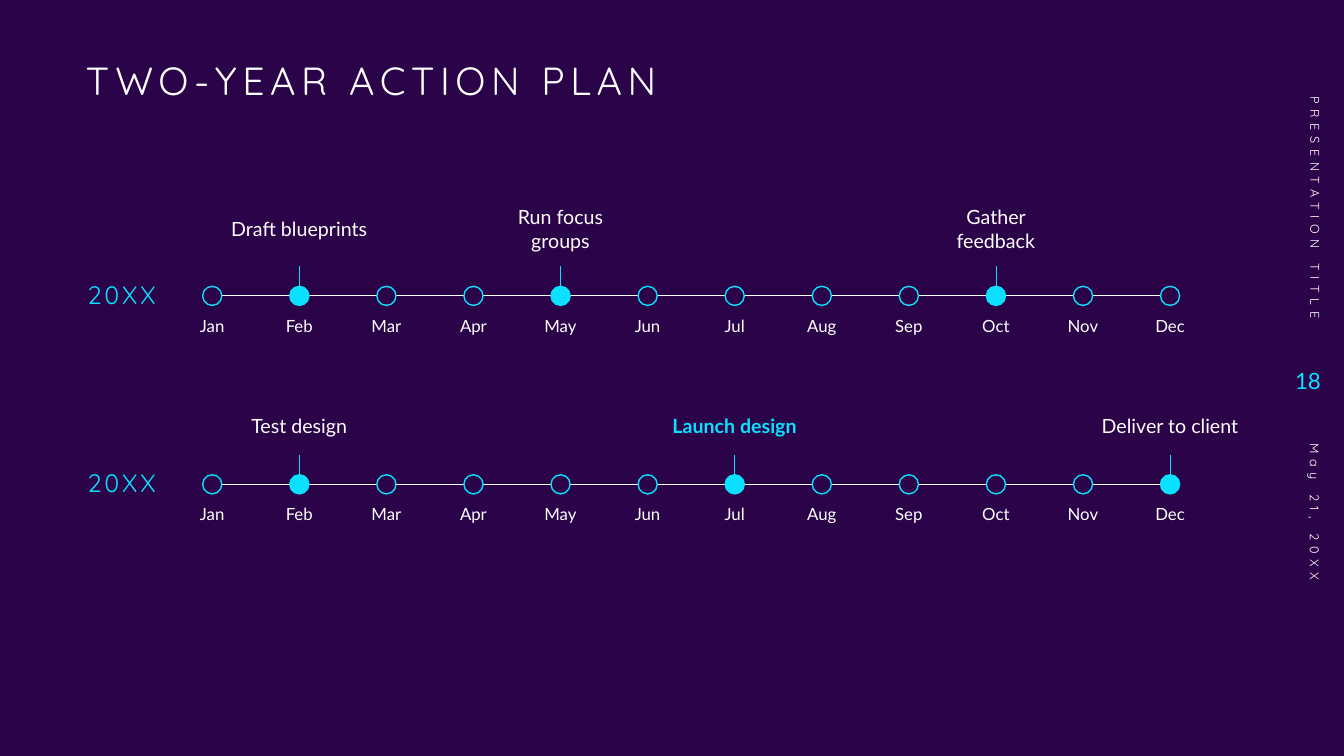
from lxml import etree
from pptx import Presentation
from pptx.dml.color import RGBColor
from pptx.enum.shapes import MSO_CONNECTOR, MSO_SHAPE
from pptx.enum.text import MSO_ANCHOR, PP_ALIGN
from pptx.oxml.ns import qn
from pptx.util import Inches, Pt

LINE = MSO_CONNECTOR.STRAIGHT
OVAL = MSO_SHAPE.OVAL
TOP, MIDDLE = MSO_ANCHOR.TOP, MSO_ANCHOR.MIDDLE
LEFT, CENTER, RIGHT = PP_ALIGN.LEFT, PP_ALIGN.CENTER, PP_ALIGN.RIGHT

COLORS = {"back": "2B0348", "text": "FFFFFF", "accent": "0BE1FF"}
HEAD, BODY = "Quicksand", "Lato"
MONTHS = "Jan Feb Mar Apr May Jun Jul Aug Sep Oct Nov Dec".split()
DOT = 0.19

# Each year: label, dot row box (left, top, width), event top, events by month
YEARS = [
    ("20XX", (2.01, 2.84, 9.69), 1.95,
     {"Feb": "Draft blueprints", "May": "Run focus groups",
      "Oct": "Gather feedback"}),
    ("20XX", (2.01, 4.71, 9.69), 3.9,
     {"Feb": "Test design", "Jul": "Launch design",
      "Dec": "Deliver to client"}),
]
KEY = "Launch design"


def color(name):
    return RGBColor.from_string(COLORS[name])


def write(shape, text, size, face=BODY, tint="text", align=LEFT,
          anchor=MIDDLE, lead=1.0, track=0, bold=False):
    frame = shape.text_frame
    frame.word_wrap = True
    frame.vertical_anchor = anchor
    para = frame.paragraphs[0]
    para.alignment = align
    para.line_spacing = lead
    run = para.add_run()
    run.text = text
    font = run.font
    font.size, font.name, font.bold = Pt(size), face, bold
    font.color.rgb = color(tint)
    if track:
        font._element.set("spc", str(track * 100))


def label(slide, box, text, size, turn=0, **style):
    shape = slide.shapes.add_textbox(*map(Inches, box))
    shape.rotation = turn
    write(shape, text, size, **style)


def rule(slide, start, end, tint):
    line = slide.shapes.add_connector(LINE, *map(Inches, start + end))
    line.line.color.rgb = color(tint)
    line.line.width = Pt(0.5)
    etree.SubElement(line._element.spPr, qn("a:effectLst"))


def dot(slide, left, top, filled):
    shape = slide.shapes.add_shape(OVAL, *map(Inches, (left, top, DOT, DOT)))
    shape.shadow.inherit = False
    if filled:
        shape.fill.solid()
        shape.fill.fore_color.rgb = color("accent")
    else:
        shape.fill.background()
    shape.line.color.rgb = color("accent")
    shape.line.width = Pt(1)


def title(slide, box, text):
    shape = slide.shapes.title
    shape.left, shape.top, shape.width, shape.height = map(Inches, box)
    write(shape, text, 28, face=HEAD, anchor=TOP, lead=0.9, track=4)


def year(slide, box, name, rise, events):
    left, top, width = box
    step = (width - DOT) / (len(MONTHS) - 1)
    mid = top + DOT / 2
    label(slide, (left - 1.46, mid - 0.275, 1.31, 0.55), name, 18, face=HEAD,
          tint="accent", align=CENTER, lead=0.9, track=2)
    for i, month in enumerate(MONTHS):
        x = left + i * step
        hub = x + DOT / 2
        # Link to the next month
        if i < len(MONTHS) - 1:
            rule(slide, (x + DOT, mid), (x + step, mid), "text")
        dot(slide, x, top, month in events)
        label(slide, (hub - 0.27, top + DOT, 0.54, 0.99), month, 12,
              align=CENTER, anchor=TOP, lead=1.25)
        # Event above its month
        if month in events:
            text = events[month]
            main = text == KEY
            rule(slide, (hub, top - 0.2), (hub, top + 0.17), "accent")
            label(slide, (hub - 0.785, rise, 1.57, 0.64), text, 14,
                  tint="accent" if main else "text", align=CENTER, bold=main)


def margin(slide, box):
    left, top = box
    label(slide, (left, top, 3.03, 0.4), "PRESENTATION TITLE", 9, turn=90,
          face=HEAD, align=RIGHT, track=4)
    label(slide, (left + 1.07, top + 1.92, 0.6, 0.63), "18", 16,
          tint="accent", align=RIGHT)
    label(slide, (left + 0.06, top + 4.01, 2.9, 0.4), "May 21, 20XX", 9,
          turn=90, face=HEAD, track=4)


def main():
    deck = Presentation()
    deck.slide_width, deck.slide_height = Inches(13.33), Inches(7.5)
    slide = deck.slides.add_slide(deck.slide_layouts[5])
    slide.background.fill.solid()
    slide.background.fill.fore_color.rgb = color("back")
    title(slide, (0.75, 0.56, 11.5, 0.8), "TWO-YEAR ACTION PLAN")
    for name, box, rise, events in YEARS:
        year(slide, box, name, rise, events)
    margin(slide, (11.53, 1.54))
    deck.save("out.pptx")


if __name__ == "__main__":
    main()
